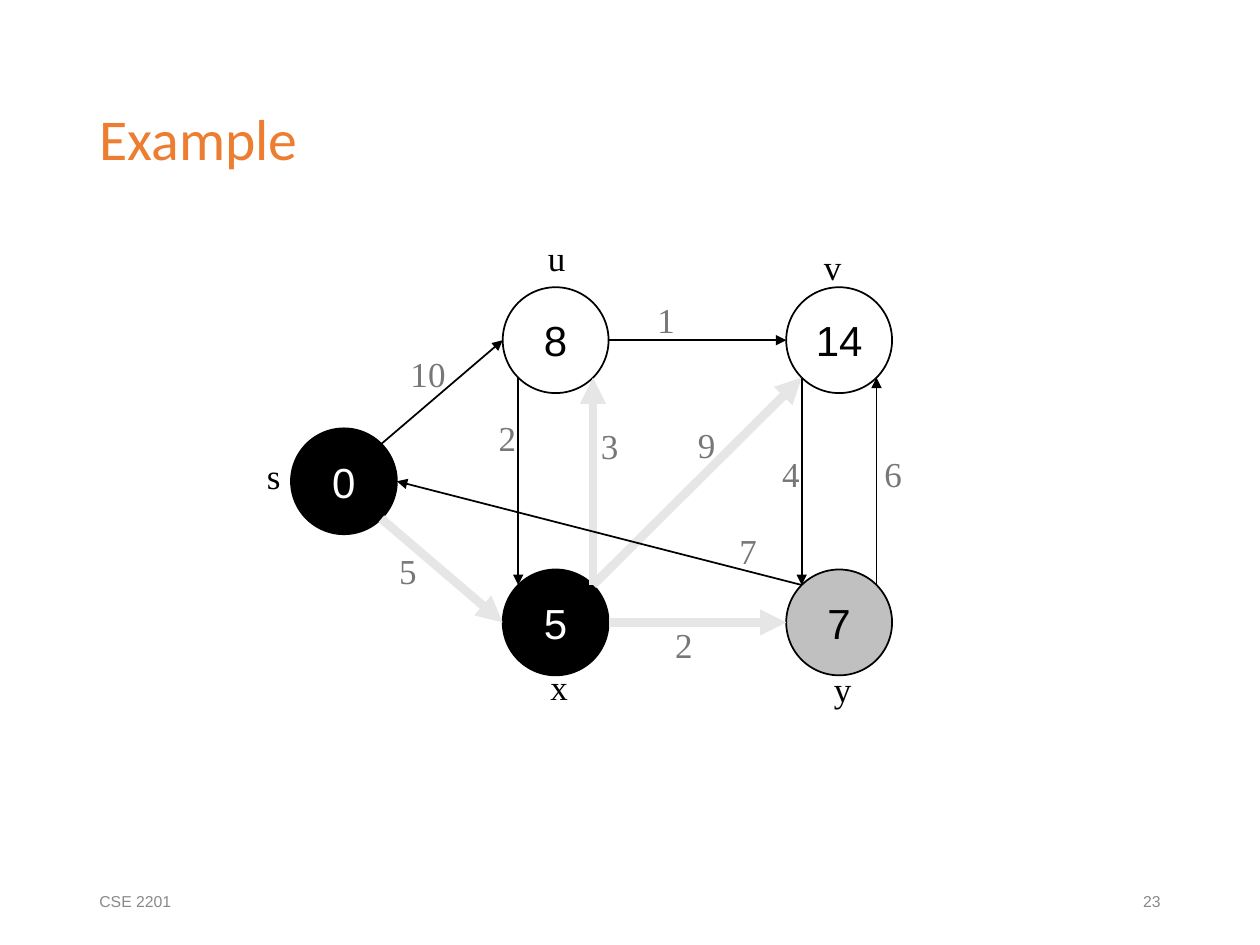
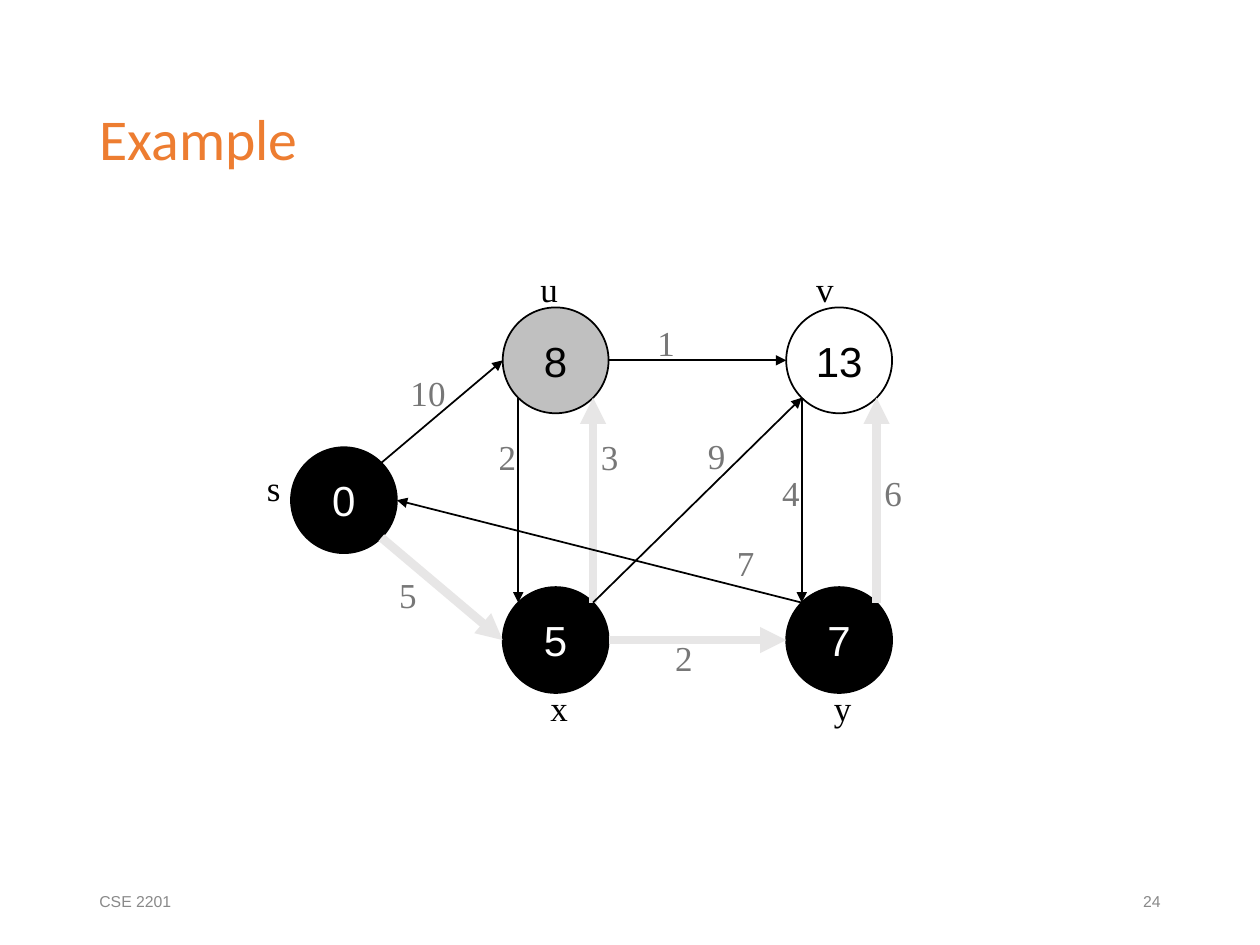
from lxml import etree
from pptx import Presentation
from pptx.dml.color import RGBColor
from pptx.enum.shapes import MSO_CONNECTOR as Line, MSO_SHAPE as Shape
from pptx.enum.text import MSO_ANCHOR as Anchor, MSO_AUTO_SIZE as Fit, PP_ALIGN as Align
from pptx.oxml.ns import qn
from pptx.util import Inches, Pt

COLORS = {
    "title": "ED7D31", "footer": "898989", "weight": "777777",
    "ink": "000000", "paper": "FFFFFF", "active": "C0C0C0", "tree": "E7E6E6",
}
STYLES = {
    "title": {"name": "Calibri", "size": Pt(33)},
    "footer": {"name": "Arial", "size": Pt(9)},
    "node": {"name": "Arial", "size": Pt(24)},
    "label": {"name": "Times New Roman", "size": Pt(20)},
}
# Vertex state: fill and text colour
STATES = {"open": (None, "ink"), "active": ("active", "ink"), "done": ("ink", "paper")}

# Graph layout: column centre and row of each vertex
RADIUS = 0.42
VERTICES = {"u": (4.41, 0), "v": (6.66, 0), "x": (4.41, 2), "y": (6.66, 2), "s": (2.73, 1)}
DIAGONAL = 0.5 ** 0.5
PORTS = {
    "left": (-1, 0), "right": (1, 0),
    "top left": (-DIAGONAL, -DIAGONAL), "top right": (DIAGONAL, -DIAGONAL),
    "bottom left": (-DIAGONAL, DIAGONAL), "bottom right": (DIAGONAL, DIAGONAL),
}
# Edge: port at its start, port at its end, weight
EDGES = {
    "xu": ("top right", "bottom right", "3"),
    "ux": ("bottom left", "top left", "2"),
    "uv": ("right", "left", "1"),
    "xv": ("top right", "bottom left", "9"),
    "vy": ("bottom left", "top left", "4"),
    "yv": ("top right", "bottom right", "6"),
    "xy": ("right", "left", "2"),
    "ys": ("top left", "right", "7"),
    "sx": ("bottom right", "left", "5"),
    "su": ("top right", "left", "10"),
}

# Each step: graph position, vertex distances and states, tree edges, label corners
STEPS = [
    {
        "page": "23", "top_row": 2.7, "row_gap": 1.12,
        "nodes": {"u": ("8", "open"), "v": ("14", "open"), "x": ("5", "done"),
                  "y": ("7", "active"), "s": ("0", "done")},
        "tree": ("xu", "xv", "xy", "sx"),
        "labels": {
            "s": (2.02, 3.56), "u": (4.25, 1.83), "v": (6.44, 1.9),
            "x": (4.27, 5.23), "y": (6.52, 5.25),
            "su": (3.16, 2.75), "sx": (3.07, 4.31), "uv": (5.12, 2.32),
            "ux": (3.86, 3.26), "xu": (4.67, 3.32), "xv": (5.44, 3.31),
            "vy": (6.11, 3.54), "yv": (6.92, 3.54), "ys": (5.77, 4.15), "xy": (5.26, 4.9),
        },
    },
    {
        "page": "24", "top_row": 2.86, "row_gap": 1.11,
        "nodes": {"u": ("8", "active"), "v": ("13", "open"), "x": ("5", "done"),
                  "y": ("7", "done"), "s": ("0", "done")},
        "tree": ("xu", "yv", "xy", "sx"),
        "labels": {
            "s": (2.02, 3.65), "u": (4.19, 2.07), "v": (6.38, 2.07),
            "x": (4.27, 5.4), "y": (6.52, 5.4),
            "su": (3.16, 2.9), "sx": (3.07, 4.5), "uv": (5.12, 2.5),
            "ux": (3.86, 3.41), "xu": (4.67, 3.41), "xv": (5.52, 3.4),
            "vy": (6.11, 3.69), "yv": (6.92, 3.69), "ys": (5.75, 4.25), "xy": (5.26, 5),
        },
    },
]


def write(shape, text, style, color, align=Align.LEFT, anchor=Anchor.MIDDLE, wrap=True):
    frame = shape.text_frame
    frame.word_wrap = wrap
    frame.vertical_anchor = anchor
    paragraph = frame.paragraphs[0]
    paragraph.text = text
    paragraph.alignment = align
    for attribute, value in STYLES[style].items():
        setattr(paragraph.font, attribute, value)
    paragraph.font.color.rgb = RGBColor.from_string(COLORS[color])
    return frame


def add_text(slide, box, *args, **options):
    return write(slide.shapes.add_textbox(*map(Inches, box)), *args, **options)


deck = Presentation()
deck.slide_width, deck.slide_height = Inches(10), Inches(7.5)

for step in STEPS:
    slide = deck.slides.add_slide(deck.slide_layouts[6])

    # Title and footer
    title = add_text(slide, (0.69, 0.4, 8.63, 1.45), "Example", "title", "title")
    title.paragraphs[0].line_spacing = 0.9
    add_text(slide, (0.69, 6.95, 2.25, 0.4), "CSE 2201", "footer", "footer")
    add_text(slide, (7.06, 6.95, 2.25, 0.4), step["page"], "footer", "footer", Align.RIGHT)

    # Vertices
    centers = {vertex: (x, step["top_row"] + row * step["row_gap"])
               for vertex, (x, row) in VERTICES.items()}
    for vertex, (distance, state) in step["nodes"].items():
        x, y = centers[vertex]
        fill, ink = STATES[state]
        node = slide.shapes.add_shape(
            Shape.OVAL, Inches(x - RADIUS), Inches(y - RADIUS),
            Inches(2 * RADIUS), Inches(2 * RADIUS))
        node.shadow.inherit = False
        if fill:
            node.fill.solid()
            node.fill.fore_color.rgb = RGBColor.from_string(COLORS[fill])
        else:
            node.fill.background()
        node.line.color.rgb = RGBColor.from_string(COLORS["ink"])
        node.line.width = Pt(1)
        write(node, distance, "node", ink, Align.CENTER, wrap=False)

    # Edges, thick and pale where they belong to the shortest-path tree
    for ends, (start_port, end_port, weight) in EDGES.items():
        points = [center + RADIUS * offset
                  for vertex, port in zip(ends, (start_port, end_port))
                  for center, offset in zip(centers[vertex], PORTS[port])]
        edge = slide.shapes.add_connector(Line.STRAIGHT, *map(Inches, points))
        color, width = ("tree", 5) if ends in step["tree"] else ("ink", 1)
        edge.line.color.rgb = RGBColor.from_string(COLORS[color])
        edge.line.width = Pt(width)
        etree.SubElement(edge.line._get_or_add_ln(), qn("a:tailEnd"), type="triangle")
        etree.SubElement(edge._element.spPr, qn("a:effectLst"))

    # Vertex names and edge weights
    for key, (left, top) in step["labels"].items():
        text, color = (EDGES[key][2], "weight") if key in EDGES else (key, "ink")
        width = 0.84 if key in ("su", "sx", "uv") else 0.56
        label = add_text(slide, (left, top, width, 0.44), text, "label", color,
                         anchor=Anchor.TOP)
        label.auto_size = Fit.SHAPE_TO_FIT_TEXT

deck.save("out.pptx")
